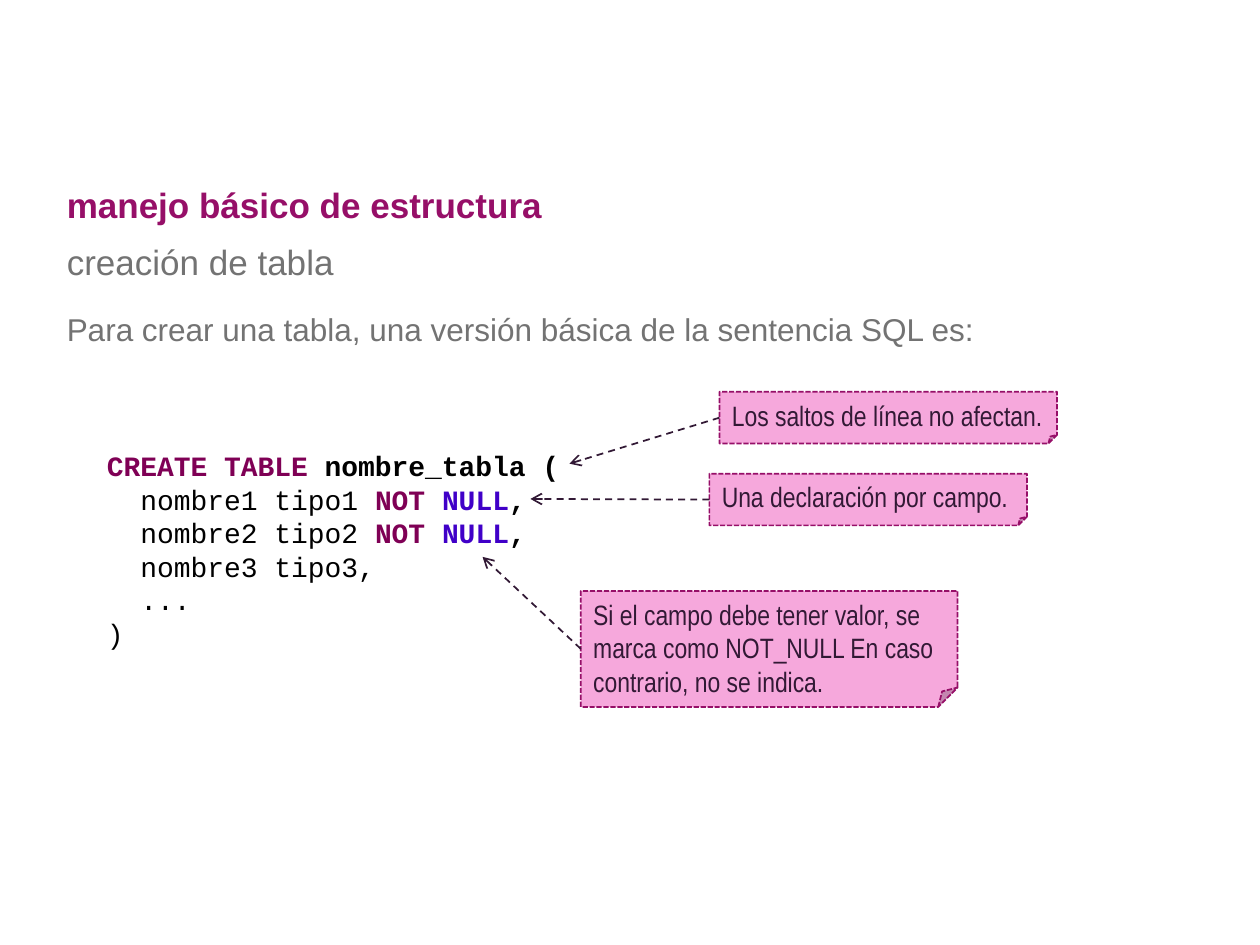
from lxml import etree
from pptx import Presentation
from pptx.dml.color import RGBColor
from pptx.enum.dml import MSO_LINE
from pptx.enum.shapes import MSO_CONNECTOR, MSO_SHAPE
from pptx.enum.text import MSO_ANCHOR, MSO_AUTO_SIZE, PP_ALIGN
from pptx.oxml.ns import qn
from pptx.util import Inches, Pt

PURPLE, GREY, DARK, PINK = "960F68", "737373", "321935", "F6A8DC"
KEYWORD, CONSTANT, BLACK = "7F0055", "4000C8", "000000"

NOT_NULL = [("NOT ", KEYWORD, True), ("NULL", CONSTANT, True), (",", BLACK, True)]
CODE = [
    [("CREATE TABLE ", KEYWORD, True), ("nombre_tabla (", BLACK, True)],
    [("  nombre1 tipo1 ", BLACK, False), *NOT_NULL],
    [("  nombre2 tipo2 ", BLACK, False), *NOT_NULL],
    [("  nombre3 tipo3,", BLACK, False)],
    [("  ...", BLACK, False)],
    [(")", BLACK, False)],
]

# text, box (left, top, width, height), arrow tip
NOTES = [
    ("Una declaración por campo.", (5.63, 3.76, 2.52, 0.41), (4.21, 3.96)),
    ("Los saltos de línea no afectan.", (5.71, 3.11, 2.68, 0.41), (4.52, 3.68)),
    ("Si el campo debe tener valor, se marca como NOT_NULL En caso contrario, "
     "no se indica.", (4.61, 4.69, 2.99, 0.92), (3.83, 4.42)),
]


def color(value):
    return RGBColor.from_string(value)


def add_run(paragraph, text, font, size, value, bold=False):
    run = paragraph.add_run()
    run.text = text
    run.font.name = font
    run.font.size = Pt(size)
    run.font.bold = bold
    run.font.color.rgb = color(value)


def fill_placeholder(placeholder, box, text, size, value, bold=False):
    """Move a placeholder to the box and give it one line without a bullet."""
    placeholder.left, placeholder.top, placeholder.width, placeholder.height = map(Inches, box)
    frame = placeholder.text_frame
    frame.auto_size = MSO_AUTO_SIZE.NONE
    paragraph = frame.paragraphs[0]
    paragraph.alignment = PP_ALIGN.LEFT
    paragraph.space_before = Pt(0)
    properties = paragraph._p.get_or_add_pPr()
    properties.set("marL", "0")
    properties.set("indent", "0")
    etree.SubElement(properties, qn("a:buNone"))
    add_run(paragraph, text, "Arial", size, value, bold)


def add_headings(slide):
    title, body, subtitle = slide.placeholders
    fill_placeholder(title, (0.43, 1.39, 9.06, 0.47),
                     "manejo básico de estructura", 20, PURPLE, True)
    fill_placeholder(subtitle, (0.43, 1.86, 9.06, 0.47), "creación de tabla", 20, GREY)
    fill_placeholder(body, (0.43, 2.41, 9.17, 4.57),
                     "Para crear una tabla, una versión básica de la sentencia SQL es:",
                     18, GREY)


def add_code(slide, box):
    frame = slide.shapes.add_textbox(*map(Inches, box)).text_frame
    frame.word_wrap = True
    for index, line in enumerate(CODE):
        paragraph = frame.add_paragraph() if index else frame.paragraphs[0]
        for text, value, bold in line:
            add_run(paragraph, text, "Courier New", 16, value, bold)


def add_note(slide, text, box, tip):
    """Add a folded note with a dashed arrow from its left side to the tip."""
    note = slide.shapes.add_shape(MSO_SHAPE.FOLDED_CORNER, *map(Inches, box))
    note.shadow.inherit = False
    note.fill.solid()
    note.fill.fore_color.rgb = color(PINK)
    note.line.color.rgb = color(PURPLE)
    note.line.width = Pt(1)
    note.line.dash_style = MSO_LINE.SQUARE_DOT
    frame = note.text_frame
    frame.word_wrap = True
    frame.vertical_anchor = MSO_ANCHOR.TOP
    paragraph = frame.paragraphs[0]
    paragraph.alignment = PP_ALIGN.LEFT
    add_run(paragraph, text, "Arial Narrow", 16, DARK)

    left, top, _, height = box
    arrow = slide.shapes.add_connector(
        MSO_CONNECTOR.STRAIGHT, Inches(left), Inches(top + height / 2), *map(Inches, tip))
    arrow.begin_connect(note, 1)
    arrow.line.color.rgb = color(DARK)
    arrow.line.width = Pt(1)
    arrow.line.dash_style = MSO_LINE.DASH
    etree.SubElement(arrow.line._get_or_add_ln(), qn("a:tailEnd"), type="arrow")
    etree.SubElement(arrow._element.spPr, qn("a:effectLst"))


def main():
    presentation = Presentation()
    presentation.slide_width, presentation.slide_height = Inches(10), Inches(7.5)
    two_content = presentation.slide_layouts[3]
    slide = presentation.slides.add_slide(two_content)
    add_headings(slide)
    add_code(slide, (0.75, 3.51, 5, 1.72))
    for text, box, tip in NOTES:
        add_note(slide, text, box, tip)
    presentation.save("out.pptx")


if __name__ == "__main__":
    main()
